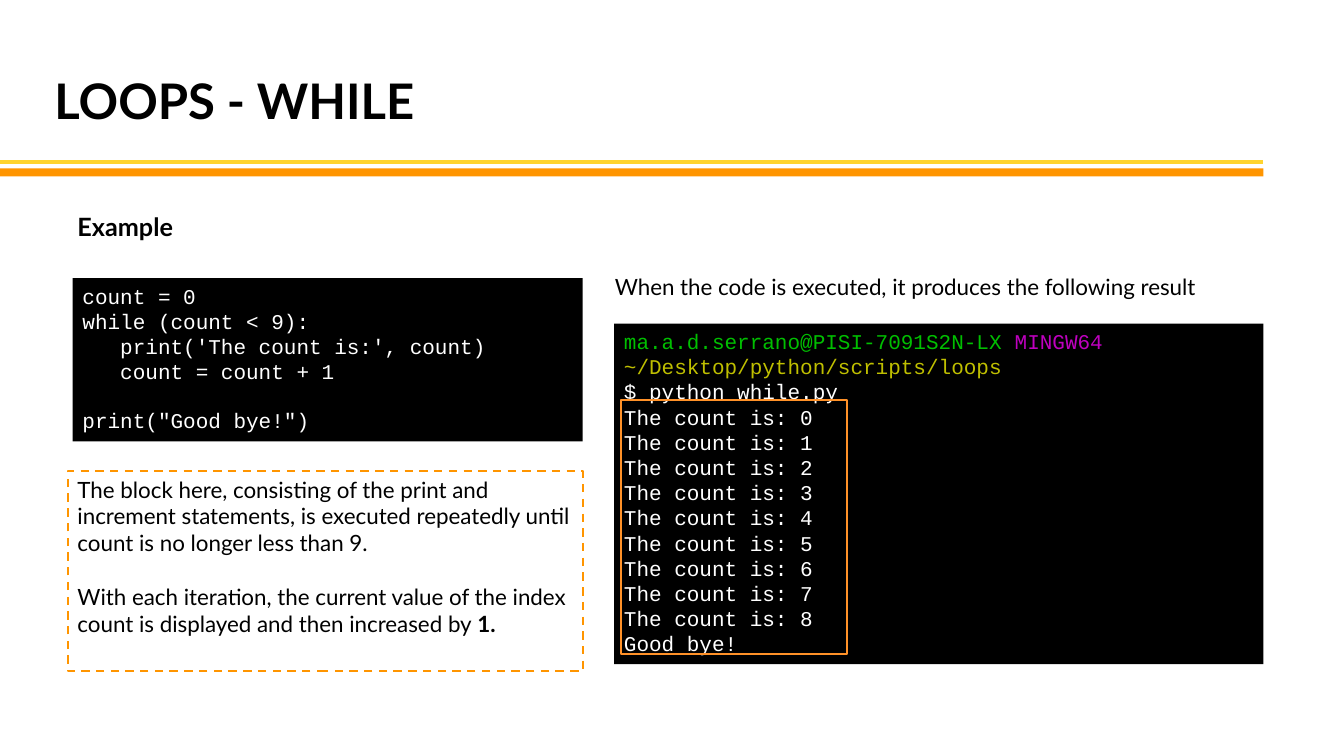
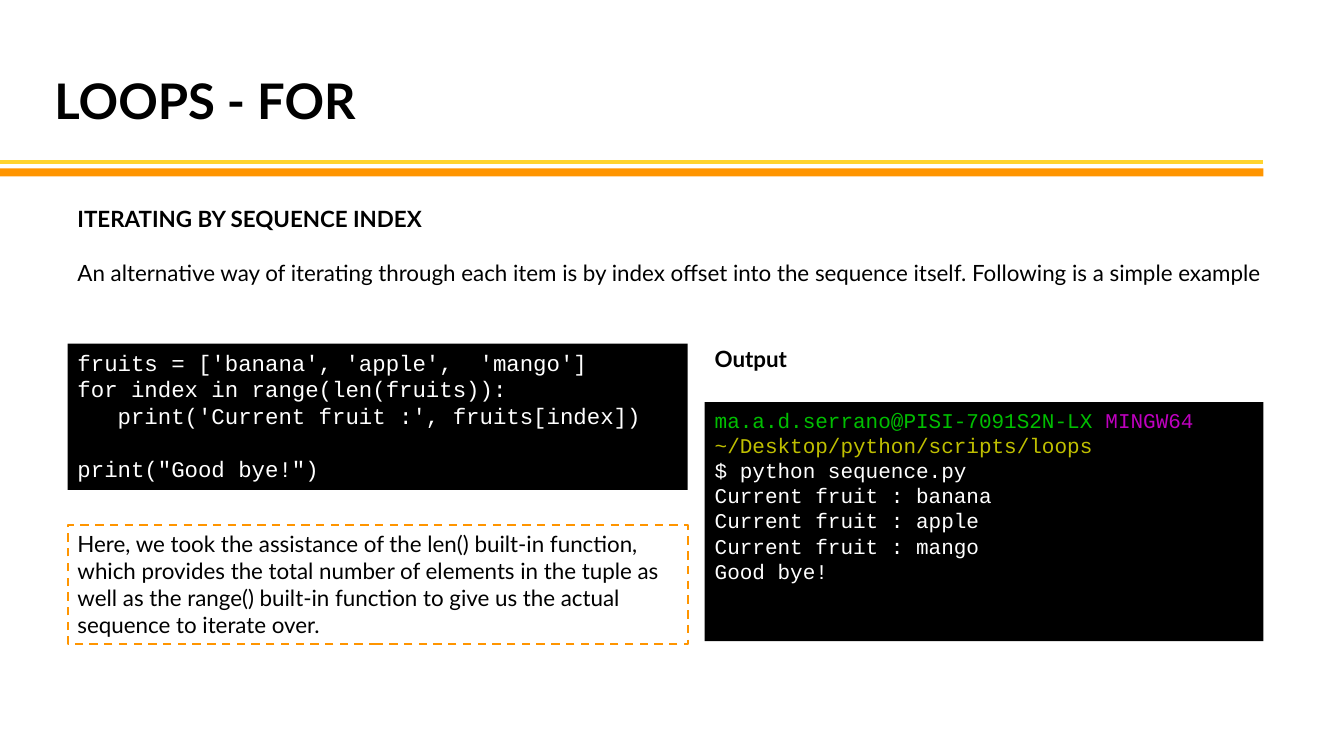
from dataclasses import dataclass
from typing import Optional

from pptx import Presentation
from pptx.dml.color import RGBColor
from pptx.enum.dml import MSO_LINE
from pptx.enum.shapes import MSO_CONNECTOR, MSO_SHAPE
from pptx.enum.text import MSO_ANCHOR, PP_ALIGN
from pptx.oxml.ns import qn
from pptx.slide import Slide
from pptx.util import Pt
from lxml.etree import SubElement

PX = 9144
COLORS = {
    "ink": "000000", "paper": "FFFFFF", "orange": "FF9500", "yellow": "FFD42E",
    "highlight": "FF9128", "user": "00BF00", "system": "BF00BF", "folder": "BFBF00",
}
STYLES = {
    "title": {"name": "Lato", "size": Pt(35), "bold": True},
    "heading": {"name": "Lato", "size": Pt(18), "bold": True},
    "prose": {"name": "Lato", "size": Pt(16), "bold": False},
    "code": {"name": "Courier New", "size": Pt(15), "bold": False},
    "large code": {"name": "Courier New", "size": Pt(16), "bold": False},
}
LINE_HEIGHT = {"Lato": 1.2, "Courier New": 1.13}
RULE_RIGHT = 1253


@dataclass(frozen=True)
class Run:
    text: str
    color: Optional[str] = None
    bold: Optional[bool] = None


@dataclass(frozen=True)
class Paragraph:
    runs: tuple[Run, ...]
    gap: bool = False


@dataclass(frozen=True)
class Panel:
    box: tuple[int, int, int, int]
    paragraphs: tuple[Paragraph, ...] = ()
    style: str = "prose"
    color: str = "ink"
    fill: Optional[str] = None
    outline: Optional[str] = None
    weight: float = 1.5
    dashed: bool = False
    margins: tuple[int, int, int, int] = (10, 5, 10, 5)


@dataclass(frozen=True)
class Lesson:
    title: str
    panels: tuple[Panel, ...]


def rgb(color: str) -> RGBColor:
    return RGBColor.from_string(COLORS[color])


def lines(source: str) -> tuple[Paragraph, ...]:
    rows = source.split("\n")
    return tuple(
        Paragraph((Run(row),), gap=index > 0 and not rows[index - 1])
        for index, row in enumerate(rows) if row
    )


def code(box: tuple[int, int, int, int], source: str, style: str = "code") -> Panel:
    return Panel(box, lines(source), style, "paper", fill="ink")


def terminal(box: tuple[int, int, int, int], output: str) -> Panel:
    prompt = Paragraph((
        Run("ma.a.d.serrano@PISI-7091S2N-LX ", "user"),
        Run("MINGW64 ", "system"),
        Run("~/Desktop/python/scripts/loops", "folder"),
    ))
    return Panel(box, (prompt, *lines(output)), "code", "paper", fill="ink")


def note(box: tuple[int, int, int, int], *paragraphs: Paragraph) -> Panel:
    return Panel(box, paragraphs, outline="orange", dashed=True)


def write(panel: Panel, frame) -> None:
    left, top, right, bottom = (margin * PX for margin in panel.margins)
    layout = {
        "word_wrap": True, "vertical_anchor": MSO_ANCHOR.TOP,
        "margin_left": left, "margin_top": top,
        "margin_right": right, "margin_bottom": bottom,
    }
    for name, value in layout.items():
        setattr(frame, name, value)
    style = STYLES[panel.style]
    blank_line = Pt(round(style["size"].pt * LINE_HEIGHT[style["name"]], 1))
    for index, content in enumerate(panel.paragraphs):
        paragraph = frame.add_paragraph() if index else frame.paragraphs[0]
        paragraph.alignment = PP_ALIGN.LEFT
        if content.gap:
            paragraph.space_before = blank_line
        for part in content.runs:
            run = paragraph.add_run()
            run.text = part.text
            for name, value in style.items():
                setattr(run.font, name, value)
            if part.bold is not None:
                run.font.bold = part.bold
            run.font.color.rgb = rgb(part.color or panel.color)


def draw_panel(slide: Slide, panel: Panel) -> None:
    box = [length * PX for length in panel.box]
    if panel.fill or panel.outline:
        shape = slide.shapes.add_shape(MSO_SHAPE.RECTANGLE, *box)
        shape.shadow.inherit = False
        if panel.fill:
            shape.fill.solid()
            shape.fill.fore_color.rgb = rgb(panel.fill)
        else:
            shape.fill.background()
        if panel.outline:
            shape.line.color.rgb = rgb(panel.outline)
            shape.line.width = Pt(panel.weight)
            if panel.dashed:
                shape.line.dash_style = MSO_LINE.DASH
        else:
            shape.line.fill.background()
    else:
        shape = slide.shapes.add_textbox(*box)
    if panel.paragraphs:
        write(panel, shape.text_frame)


def draw_header(slide: Slide, title: str) -> None:
    rule = slide.shapes.add_connector(
        MSO_CONNECTOR.STRAIGHT, 0, 161 * PX, RULE_RIGHT * PX, 161 * PX)
    rule.line.color.rgb = rgb("yellow")
    rule.line.width = Pt(3)
    SubElement(rule.element.spPr, qn("a:effectLst"))
    draw_panel(slide, Panel((54, 70, 787, 64), lines(title), "title", margins=(0, 0, 0, 5)))
    draw_panel(slide, Panel((0, 167, RULE_RIGHT, 8), fill="orange"))


WHILE_CODE = """count = 0
while (count < 9):
   print('The count is:', count)
   count = count + 1

print("Good bye!")"""

FOR_CODE = """fruits = ['banana', 'apple',  'mango']
for index in range(len(fruits)):
   print('Current fruit :', fruits[index])

print("Good bye!")"""

WHILE_OUTPUT = "\n".join(
    ["$ python while.py", *(f"The count is: {count}" for count in range(9)), "Good bye!"])
FOR_OUTPUT = "\n".join(
    ["$ python sequence.py",
     *(f"Current fruit : {fruit}" for fruit in ("banana", "apple", "mango")), "Good bye!"])

LESSONS = (
    Lesson("LOOPS - WHILE", (
        Panel((67, 205, 1199, 40), lines("Example"), "heading"),
        code((72, 276, 506, 162), WHILE_CODE),
        terminal((609, 321, 644, 338), WHILE_OUTPUT),
        Panel((600, 266, 667, 37),
              lines("When the code is executed, it produces the following result")),
        note((67, 467, 511, 199),
             Paragraph((Run("The block here, consisting of the print and increment statements, "
                            "is executed repeatedly until count is no longer less than 9."),)),
             Paragraph((Run("With each iteration, the current value of the index count "
                            "is displayed and then increased by "),
                        Run("1.", bold=True)), gap=True)),
        Panel((616, 397, 224, 252), outline="highlight", weight=1),
    )),
    Lesson("LOOPS - FOR", (
        Panel((67, 199, 1199, 118), (
            Paragraph((Run("ITERATING BY SEQUENCE INDEX", bold=True),)),
            Paragraph((Run("An alternative way of iterating through each item is by index offset "
                           "into the sequence itself. Following is a simple example"),), gap=True),
        )),
        code((67, 341, 615, 145), FOR_CODE, "large code"),
        terminal((699, 399, 554, 237), FOR_OUTPUT),
        Panel((699, 337, 100, 37), (Paragraph((Run("Output", bold=True),)),)),
        note((67, 521, 615, 118),
             *lines("Here, we took the assistance of the len() built-in function, which provides "
                    "the total number of elements in the tuple as well as the range() built-in "
                    "function to give us the actual sequence to iterate over.")),
    )),
)


def main() -> None:
    deck = Presentation()
    deck.slide_width, deck.slide_height = 1333 * PX, 750 * PX
    for lesson in LESSONS:
        slide = deck.slides.add_slide(deck.slide_layouts[6])
        draw_header(slide, lesson.title)
        for panel in lesson.panels:
            draw_panel(slide, panel)
    deck.save("out.pptx")


if __name__ == "__main__":
    main()
